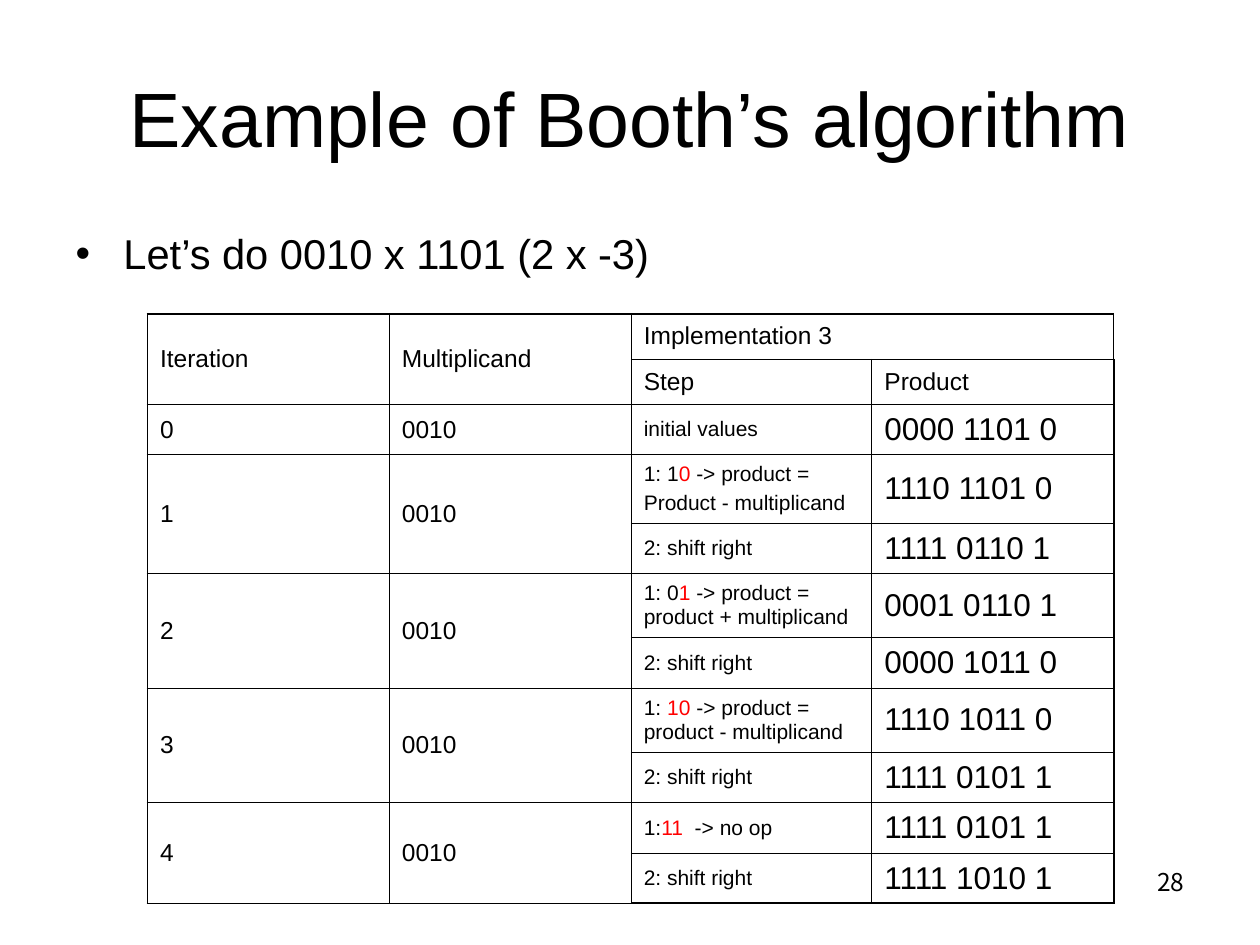
from pptx import Presentation
from pptx.dml.color import RGBColor
from pptx.enum.text import MSO_ANCHOR, MSO_AUTO_SIZE, PP_ALIGN
from pptx.oxml.xmlchemy import OxmlElement
from pptx.util import Inches, Pt

MIDDLE = MSO_ANCHOR.MIDDLE
BLACK, RED = "000000", "FF0000"
FONT = "Arial"
LABEL_SIZE, STEP_SIZE, PRODUCT_SIZE = 14, 12, 18
THIN, THICK = 0.45, 1.08

TITLE = "Example of Booth’s algorithm"
TASK = "Let’s do 0010 x 1101 (2 x -3)"
PAGE_NUMBER = "28"
MULTIPLICAND = "0010"
SHIFT = [("2: shift right",)]
# Every second piece of a step line is red
ITERATIONS = [
    ("0", [([("initial values",)], "0000 1101 0")]),
    ("1", [([("1: 1", "0", " -> product ="), ("Product - multiplicand",)], "1110 1101 0"),
           (SHIFT, "1111 0110 1")]),
    ("2", [([("1: 0", "1", " -> product = product + multiplicand")], "0001 0110 1"),
           (SHIFT, "0000 1011 0")]),
    ("3", [([("1: ", "10", " -> product = product - multiplicand")], "1110 1011 0"),
           (SHIFT, "1111 0101 1")]),
    ("4", [([("1:", "11 ", " -> no op")], "1111 0101 1"),
           (SHIFT, "1111 1010 1")]),
]
COLUMN_WIDTHS = [1.92, 1.92, 1.91, 1.92]
ROW_HEIGHTS = [0.36, 0.36, 0.4, 0.54, 0.4, 0.51, 0.4, 0.51, 0.4, 0.4, 0.4]


def style(font, size, color=BLACK, name=FONT):
    font.size = Pt(size)
    font.name = name
    font.color.rgb = RGBColor.from_string(color)


def place(shape, left, top, width, height):
    shape.left, shape.top = Inches(left), Inches(top)
    shape.width, shape.height = Inches(width), Inches(height)


def write_cell(cell, lines, size):
    cell.vertical_anchor = MIDDLE
    frame = cell.text_frame
    for index, pieces in enumerate(lines):
        paragraph = frame.add_paragraph() if index else frame.paragraphs[0]
        if index:
            paragraph.space_before = Pt(3)
        for position, piece in enumerate(pieces):
            run = paragraph.add_run()
            run.text = piece
            style(run.font, size, RED if position % 2 else BLACK)


def add_border(cell, side, width):
    line = OxmlElement(f"a:ln{side}")
    line.set("w", str(Pt(width)))
    fill = OxmlElement("a:solidFill")
    color = OxmlElement("a:srgbClr")
    color.set("val", BLACK)
    fill.append(color)
    line.append(fill)
    cell._tc.get_or_add_tcPr().append(line)


def format_grid(table):
    last_row, last_column = len(table.rows) - 1, len(table.columns) - 1
    for r in range(last_row + 1):
        for c in range(last_column + 1):
            cell = table.cell(r, c)
            outer = {"L": c == 0, "R": c == last_column, "T": r == 0, "B": r == last_row}
            for side, is_outer in outer.items():
                add_border(cell, side, THICK if is_outer else THIN)
            cell.fill.background()


def add_steps_table(slide):
    table = slide.shapes.add_table(
        len(ROW_HEIGHTS), len(COLUMN_WIDTHS), Inches(1.17), Inches(2.49),
        Inches(sum(COLUMN_WIDTHS)), Inches(sum(ROW_HEIGHTS))).table
    table.first_row = table.horz_banding = False
    for column, width in zip(table.columns, COLUMN_WIDTHS):
        column.width = Inches(width)
    for row, height in zip(table.rows, ROW_HEIGHTS):
        row.height = Inches(height)

    headers = [(0, 0, "Iteration"), (0, 1, "Multiplicand"), (0, 2, "Implementation 3"),
               (1, 2, "Step"), (1, 3, "Product")]
    for r, c, header in headers:
        write_cell(table.cell(r, c), [(header,)], LABEL_SIZE)
    spans = [((0, 0), (1, 0)), ((0, 1), (1, 1)), ((0, 2), (0, 3))]

    top = 2
    for iteration, steps in ITERATIONS:
        bottom = top + len(steps) - 1
        for c, label in enumerate((iteration, MULTIPLICAND)):
            write_cell(table.cell(top, c), [(label,)], LABEL_SIZE)
            if bottom > top:
                spans.append(((top, c), (bottom, c)))
        for r, (step, product) in enumerate(steps, top):
            write_cell(table.cell(r, 2), step, STEP_SIZE)
            write_cell(table.cell(r, 3), [(product,)], PRODUCT_SIZE)
        top = bottom + 1

    format_grid(table)
    for first, last in spans:
        table.cell(*first).merge(table.cell(*last))


def main():
    deck = Presentation()
    deck.slide_width, deck.slide_height = Inches(10), Inches(7.5)
    slide = deck.slides.add_slide(deck.slide_layouts[1])

    title, task = slide.placeholders
    page_number = slide.shapes.add_textbox(0, 0, 0, 0)
    texts = [
        (title, TITLE, (0.5, 0.3, 9, 1.25), 44, FONT, PP_ALIGN.CENTER, MIDDLE),
        (task, TASK, (0.5, 1.75, 9, 0.52), 23.8, FONT, PP_ALIGN.LEFT, MIDDLE),
        (page_number, PAGE_NUMBER, (7.17, 6.83, 2.33, 0.52), 14, "Noto Sans CJK KR",
         PP_ALIGN.RIGHT, MSO_ANCHOR.TOP),
    ]
    for shape, text, box, size, font_name, alignment, anchor in texts:
        place(shape, *box)
        frame = shape.text_frame
        frame.text = text
        frame.word_wrap = True
        frame.auto_size = MSO_AUTO_SIZE.NONE
        frame.vertical_anchor = anchor
        paragraph = frame.paragraphs[0]
        paragraph.alignment = alignment
        paragraph.space_before = Pt(0)
        style(paragraph.runs[0].font, size, name=font_name)

    properties = task.text_frame.paragraphs[0]._p.get_or_add_pPr()
    properties.set("marL", str(Inches(0.38)))
    properties.set("indent", str(-Inches(0.38)))
    bullet = OxmlElement("a:buChar")
    bullet.set("char", "•")
    properties.append(bullet)

    add_steps_table(slide)
    deck.save("out.pptx")


if __name__ == "__main__":
    main()
